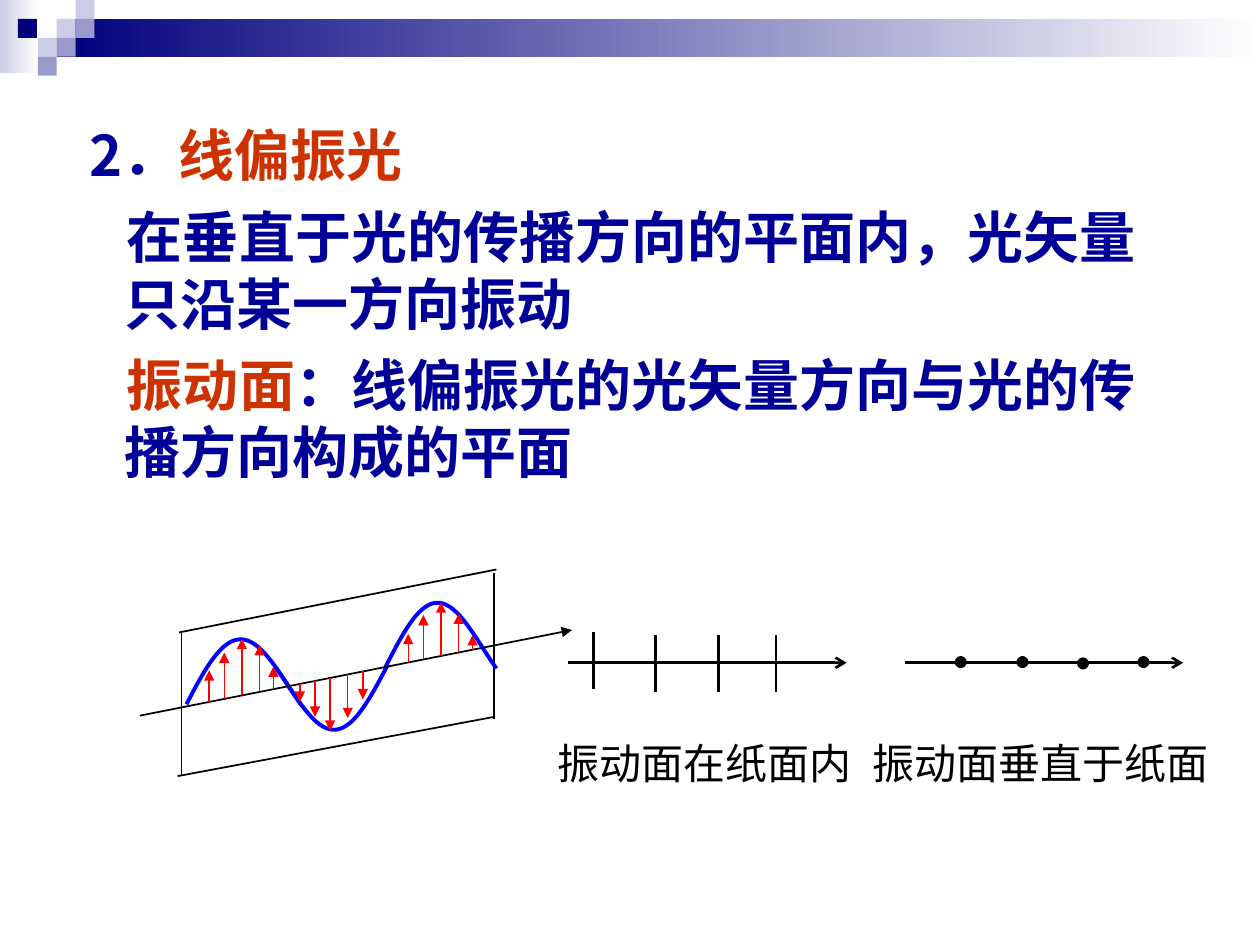
from dataclasses import dataclass
from math import pi, sin

from lxml import etree
from pptx import Presentation
from pptx import util as u
from pptx.dml.color import RGBColor
from pptx.enum import shapes
from pptx.oxml.ns import qn

COLORS = {"navy": "00007D", "text": "000099", "accent": "CC3300", "mid": "9999CC",
          "pale": "CCCCE6", "white": "FFFFFF", "black": "000000",
          "wave": "0000FF", "field": "FF0000"}
FONT = "Noto Sans CJK SC"

deck = Presentation()
deck.slide_width, deck.slide_height = u.Inches(10), u.Inches(7.5)
COLUMN, ROW = deck.slide_width / 100, deck.slide_height / 75
page = deck.slides.add_slide(deck.slide_layouts[6])


@dataclass
class Line:
    x1: float
    y1: float
    x2: float
    y2: float
    color: str = "black"
    width: float = 1
    arrow: str = ""


@dataclass
class Lobe:
    """A piece of the wave: drawn from start to end, crossing the axis at zero."""
    start: float
    end: float
    zero: float
    half: float
    height: float


@dataclass
class Para:
    spans: list[tuple[str, str]]
    left: float = 0
    first: float = 0
    before: float = 0


def grid(*lengths: float) -> list[int]:
    """Turn alternating columns and rows into slide units."""
    return [round(n * (ROW if i % 2 else COLUMN)) for i, n in enumerate(lengths)]


def rgb(name: str) -> RGBColor:
    return RGBColor.from_string(COLORS[name])


def draw_line(line: Line) -> None:
    shape = page.shapes.add_connector(
        shapes.MSO_CONNECTOR.STRAIGHT, *grid(line.x1, line.y1, line.x2, line.y2))
    shape.line.color.rgb = rgb(line.color)
    shape.line.width = u.Pt(line.width)
    if line.arrow:
        etree.SubElement(shape.line._get_or_add_ln(), qn("a:tailEnd"), type=line.arrow)
    etree.SubElement(shape._element.spPr, qn("a:effectLst"))


def draw_shape(kind, x: float, y: float, width: float, height: float,
               fill: str, fade: bool = False, outline: float = 0) -> None:
    shape = page.shapes.add_shape(kind, *grid(x, y, width, height))
    shape.shadow.inherit = False
    if fade:
        shape.fill.gradient()
        shape.fill.gradient_angle = 0
        for stop, name in zip(shape.fill.gradient_stops, (fill, "white")):
            stop.color.rgb = rgb(name)
    else:
        shape.fill.solid()
        shape.fill.fore_color.rgb = rgb(fill)
    if outline:
        shape.line.color.rgb = rgb("black")
        shape.line.width = u.Pt(outline)
    else:
        shape.line.fill.background()


def axis_y(x: float) -> float:
    """Row of the slanted light ray at a column."""
    return 56.8 - (x - 11.1) * 6.8 / 34.3


def draw_lobe(lobe: Lobe, steps: int = 60) -> None:
    points = []
    for i in range(steps + 1):
        x = lobe.start + (lobe.end - lobe.start) * i / steps
        y = axis_y(x) - lobe.height * sin(pi * (x - lobe.zero) / lobe.half)
        points.append(tuple(grid(x, y)))
    builder = page.shapes.build_freeform(*points[0])
    builder.add_line_segments(points[1:], close=False)
    shape = builder.convert_to_shape()
    shape.shadow.inherit = False
    shape.fill.background()
    shape.line.color.rgb = rgb("wave")
    shape.line.width = u.Pt(2.25)


def draw_text(x: float, y: float, width: float, height: float, paras: list[Para],
              size: float, bold: bool = False, spacing: float = 0, tab: float = 0) -> None:
    box = page.shapes.add_textbox(*grid(x, y, width, height))
    frame = box.text_frame
    frame.word_wrap = True
    for i, item in enumerate(paras):
        para = frame.add_paragraph() if i else frame.paragraphs[0]
        props = para._p.get_or_add_pPr()
        props.set("marL", str(round(item.left * COLUMN)))
        props.set("indent", str(round(item.first * COLUMN)))
        if tab:
            tabs = etree.SubElement(props, qn("a:tabLst"))
            etree.SubElement(tabs, qn("a:tab"), pos=str(round(tab * COLUMN)), algn="l")
        if spacing:
            para.line_spacing = u.Pt(spacing)
        para.space_before = u.Pt(item.before)
        for words, color in item.spans:
            span = para.add_run()
            span.text = words
            span.font.size, span.font.bold, span.font.name = u.Pt(size), bold, FONT
            span.font.color.rgb = rgb(color)
            etree.SubElement(span._r.get_or_add_rPr(), qn("a:ea"), typeface=FONT)


# Header band and mosaic
RECT, DOT = shapes.MSO_SHAPE.RECTANGLE, shapes.MSO_SHAPE.OVAL
TILE = 1.5
draw_shape(RECT, 0, 0, 3.1, 5.8, "pale", fade=True)
draw_shape(RECT, 4.5, 1.5, 95.5, 3, "navy", fade=True)
for column, row, color in [(3, 1, "pale"), (4, 0, "pale"), (4, 1, "mid"), (2, 2, "pale"),
                           (0.95, 1, "navy"), (3, 2, "mid"), (2, 3, "mid")]:
    draw_shape(RECT, column * TILE, row * TILE, TILE, TILE, color)

draw_text(5.1, 9.1, 90, 31.5, [
    Para([("2．", "text"), ("线偏振光", "accent")], 3.8, -2.8),
    Para([("在垂直于光的传播方向的平面内，光矢量只沿某一方向振动", "text")], 3.8, 0.2, 8),
    Para([("振动面", "accent"),
          ("：线偏振光的光矢量方向与光的传播方向构成的平面", "text")], 3.8, 0.2, 8),
], 32, bold=True, spacing=38.4)

# Wave in its plane of vibration
for edge in [Line(14.4, 50.2, 14.4, 61.6), Line(39.2, 45.5, 39.2, 57.1),
             Line(14.2, 50.2, 39.4, 45.2), Line(14.1, 61.6, 39.2, 56.9)]:
    draw_line(edge)
for lobe in [Lobe(14.8, 23.9, 14.7, 8.2, 4.5), Lobe(21.9, 30.8, 22.9, 7.8, -4.2),
             Lobe(30.5, 39.4, 30.6, 7.7, 4.3)]:
    draw_lobe(lobe)
draw_line(Line(11.1, axis_y(11.1), 45.4, axis_y(45.4), arrow="triangle"))
FIELD_TIPS = [(16.6, 53.2), (17.8, 51.8), (19.2, 50.7), (20.6, 51.2), (21.7, 52.9),
              (23.8, 55.7), (25, 56.9), (26.2, 58), (27.6, 57), (28.8, 55.5),
              (32.4, 50.3), (33.6, 48.8), (35, 47.8), (36.4, 48.7), (37.5, 50.4)]
for x, tip in FIELD_TIPS:
    draw_line(Line(x, axis_y(x), x, tip, "field", 0.75, "triangle"))

# Ray symbols: strokes in the paper plane, dots across it
for start in (45.1, 71.8):
    draw_line(Line(start, 52.6, start + 22.1, 52.6, width=1.5, arrow="arrow"))
for x, top in [(47.1, 50.2), (52, 50.4), (57, 50.4), (61.6, 50.4)]:
    draw_line(Line(x, top, x, top + 4.5, width=1.5))
for x, y in [(76, 52.3), (80.9, 52.3), (85.7, 52.4), (90.5, 52.3)]:
    draw_shape(DOT, x, y, 0.5, 0.5, "white", outline=3.25)

draw_text(43.3, 58, 56.7, 7.9,
          [Para([("振动面在纸面内\t振动面垂直于纸面", "black")])], 24, tab=24.8)

deck.save("out.pptx")
